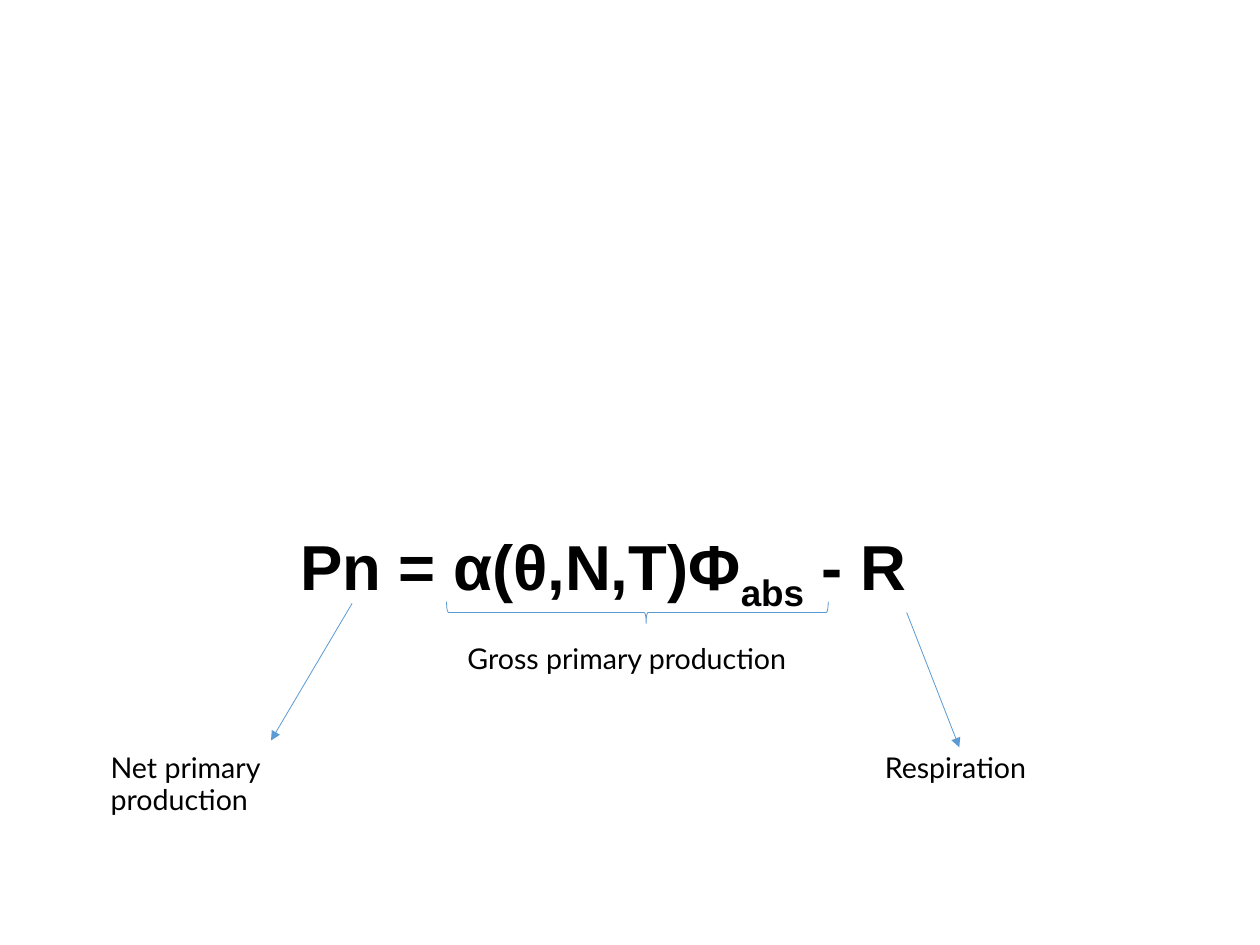
"""Build a slide that explains the terms of the net primary production equation."""
import dataclasses
import typing

import lxml.etree
import pptx
import pptx.dml.color
import pptx.enum.shapes
import pptx.enum.text
import pptx.oxml.ns
import pptx.util


@dataclasses.dataclass(frozen=True)
class Theme:
    ink: str = "000000"
    accent: str = "5B9BD5"
    equation_font: str = "Arial"
    label_font: str = "Lato"
    equation_size: float = 40
    label_size: float = 18
    line_width: float = 0.5
    line_spacing: float = 0.93


class Area(typing.NamedTuple):
    column: float
    row: float
    columns: float
    rows: float


class Span(typing.NamedTuple):
    text: str
    baseline: int = 0


@dataclasses.dataclass(frozen=True)
class Caption:
    area: Area
    spans: tuple[Span, ...]
    font: dict[str, typing.Any]
    wrap: bool = False
    align: typing.Any = pptx.enum.text.PP_ALIGN.LEFT


@dataclasses.dataclass(frozen=True)
class Arrow:
    start: tuple[float, float]
    end: tuple[float, float]
    target: str | None = None


THEME = Theme()
WIDTH, HEIGHT = pptx.util.Emu(10080625), pptx.util.Emu(7559675)
GRID = 100
LABEL_ROW = 79.08
LABEL_ROWS = 4.59
EQUATION_FONT = {"name": THEME.equation_font, "size": pptx.util.Pt(THEME.equation_size), "bold": True}
LABEL_FONT = {"name": THEME.label_font, "size": pptx.util.Pt(THEME.label_size), "bold": False}

CAPTIONS = {
    "equation": Caption(
        Area(21.42, 55.14, 52.9, 8.83),
        (Span("Pn = α(θ,N,T)Φ"), Span("abs", -25000), Span(" - R")),
        EQUATION_FONT, True, pptx.enum.text.PP_ALIGN.CENTER,
    ),
    "net": Caption(Area(7.89, LABEL_ROW, 15.88, 7.98), (Span("Net primary production"),), LABEL_FONT, True),
    "respiration": Caption(Area(69.33, LABEL_ROW, 13.61, LABEL_ROWS), (Span("Respiration"),), LABEL_FONT),
    "gross": Caption(Area(36.21, 67.59, 27.5, LABEL_ROWS), (Span("Gross primary production"),), LABEL_FONT),
}
ARROWS = (
    Arrow((27.95, 63.85), (21.51, 78.36)),
    Arrow((71.96, 64.81), (76.13, LABEL_ROW), "respiration"),
)
BRACE_AREA = Area(49.73, 44.62, 1.72, 40.39)
BRACE_ADJUSTMENTS = (0.083, 0.523)


def across(columns: float) -> int:
    """Return the width of a number of grid columns."""
    return round(WIDTH * columns / GRID)


def down(rows: float) -> int:
    """Return the height of a number of grid rows."""
    return round(HEIGHT * rows / GRID)


def place(area: Area) -> tuple[int, int, int, int]:
    """Return the left, top, width and height of a grid area."""
    return across(area.column), down(area.row), across(area.columns), down(area.rows)


def apply(target: typing.Any, values: dict[str, typing.Any]) -> None:
    """Set every format value on its target."""
    for name, value in values.items():
        setattr(target, name, value)


def style_line(line: typing.Any) -> None:
    """Give a line the accent colour and width."""
    line.color.rgb = pptx.dml.color.RGBColor.from_string(THEME.accent)
    line.width = pptx.util.Pt(THEME.line_width)


def draw_caption(page: typing.Any, caption: Caption) -> typing.Any:
    """Draw a text box and return it."""
    box = page.shapes.add_textbox(*place(caption.area))
    apply(box.text_frame, {
        "word_wrap": caption.wrap,
        "auto_size": pptx.enum.text.MSO_AUTO_SIZE.SHAPE_TO_FIT_TEXT,
    })
    para = box.text_frame.paragraphs[0]
    apply(para, {"alignment": caption.align, "line_spacing": THEME.line_spacing})
    for span in caption.spans:
        run = para.add_run()
        run.text = span.text
        apply(run.font, caption.font)
        run.font.color.rgb = pptx.dml.color.RGBColor.from_string(THEME.ink)
        if span.baseline:
            run.font._element.set("baseline", str(span.baseline))
    return box


def draw_arrow(page: typing.Any, arrow: Arrow, boxes: dict[str, typing.Any]) -> None:
    """Draw an arrow and join it to the top of its target box."""
    connector = page.shapes.add_connector(
        pptx.enum.shapes.MSO_CONNECTOR.STRAIGHT,
        across(arrow.start[0]), down(arrow.start[1]), across(arrow.end[0]), down(arrow.end[1]),
    )
    if arrow.target:
        connector.end_connect(boxes[arrow.target], 0)
    style_line(connector.line)
    outline = connector.line._get_or_add_ln()
    lxml.etree.SubElement(outline, pptx.oxml.ns.qn("a:tailEnd"), type="triangle")
    lxml.etree.SubElement(connector._element.spPr, pptx.oxml.ns.qn("a:effectLst"))


def draw_brace(page: typing.Any) -> None:
    """Draw the brace under the gross production term."""
    brace = page.shapes.add_shape(pptx.enum.shapes.MSO_SHAPE.LEFT_BRACE, *place(BRACE_AREA))
    brace.rotation = 270
    for index, value in enumerate(BRACE_ADJUSTMENTS):
        brace.adjustments[index] = value
    brace.shadow.inherit = False
    brace.fill.background()
    style_line(brace.line)


def main() -> None:
    """Build and save the deck."""
    deck = pptx.Presentation()
    deck.slide_width = WIDTH
    deck.slide_height = HEIGHT
    page = deck.slides.add_slide(deck.slide_layouts[6])
    boxes = {name: draw_caption(page, caption) for name, caption in CAPTIONS.items()}
    for arrow in ARROWS:
        draw_arrow(page, arrow, boxes)
    draw_brace(page)
    deck.save("out.pptx")


if __name__ == "__main__":
    main()
